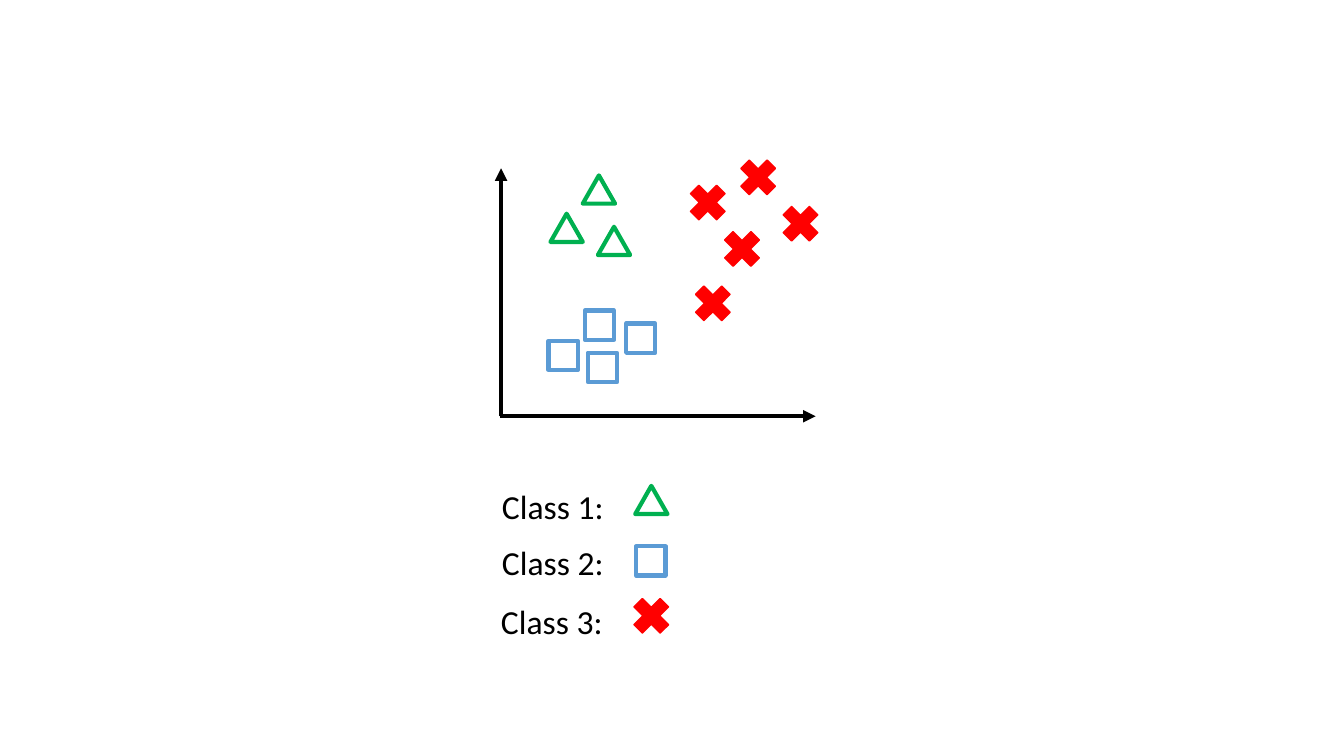
from dataclasses import dataclass

from lxml import etree
from pptx import Presentation
from pptx.dml.color import RGBColor
from pptx.enum.shapes import MSO_CONNECTOR, MSO_SHAPE
from pptx.oxml.ns import qn
from pptx.shapes.shapetree import GroupShapes
from pptx.util import Inches, Pt

TRIANGLE = MSO_SHAPE.ISOSCELES_TRIANGLE
SQUARE = MSO_SHAPE.RECTANGLE
CROSS = MSO_SHAPE.MATH_MULTIPLY
STRAIGHT = MSO_CONNECTOR.STRAIGHT

COLOURS = {"axis": "000000", "text": "000000", "green": "00B050", "blue": "5B9BD5", "red": "FF0000"}
FONT = "Calibri"
BLANK_LAYOUT = 6

Point = tuple[float, float]


@dataclass(frozen=True)
class Marker:
    kind: MSO_SHAPE
    width: float
    height: float
    colour: str
    line_width: float
    filled: bool = False


@dataclass(frozen=True)
class DataClass:
    label: str
    label_at: Point
    key_at: Point
    marker: Marker
    points: tuple[Point, ...]


DATA_CLASSES = (
    DataClass("Class 1:", (4.88, 4.77), (6.3, 4.82),
              Marker(TRIANGLE, 0.32, 0.28, "green", 3),
              ((5.78, 1.74), (5.46, 2.12), (5.93, 2.25))),
    DataClass("Class 2:", (4.88, 5.33), (6.31, 5.42),
              Marker(SQUARE, 0.29, 0.29, "blue", 3),
              ((5.8, 3.08), (5.44, 3.38), (5.83, 3.5), (6.21, 3.21))),
    DataClass("Class 3:", (4.87, 5.91), (6.21, 5.86),
              Marker(CROSS, 0.5, 0.5, "red", 1, filled=True),
              ((6.77, 1.76), (7.27, 1.51), (7.11, 2.22), (7.69, 1.97), (6.82, 2.76))),
)

AXES = (
    ((4.97, 4.13), (4.97, 1.67)),
    ((4.96, 4.13), (8.09, 4.13)),
)


def colour(name: str) -> RGBColor:
    return RGBColor.from_string(COLOURS[name])


def draw_axis(shapes: GroupShapes, start: Point, end: Point) -> None:
    axis = shapes.add_connector(STRAIGHT, *map(Inches, start + end))
    axis.line.color.rgb = colour("axis")
    axis.line.width = Pt(3)
    etree.SubElement(axis.line._get_or_add_ln(), qn("a:tailEnd"), type="triangle")
    etree.SubElement(axis._element.spPr, qn("a:effectLst"))


def draw_marker(shapes: GroupShapes, marker: Marker, at: Point) -> None:
    left, top = at
    shape = shapes.add_shape(marker.kind, Inches(left), Inches(top),
                             Inches(marker.width), Inches(marker.height))
    shape.shadow.inherit = False
    if marker.filled:
        shape.fill.solid()
        shape.fill.fore_color.rgb = colour(marker.colour)
    else:
        shape.fill.background()
    shape.line.color.rgb = colour(marker.colour)
    shape.line.width = Pt(marker.line_width)


def draw_label(shapes: GroupShapes, text: str, at: Point) -> None:
    left, top = at
    box = shapes.add_textbox(Inches(left), Inches(top), Inches(1.47), Inches(0.5))
    box.text_frame.word_wrap = True
    para = box.text_frame.paragraphs[0]
    para.text = text
    para.font.name = FONT
    para.font.size = Pt(24)
    para.font.color.rgb = colour("text")


def main() -> None:
    deck = Presentation()
    deck.slide_width = Inches(13.33)
    deck.slide_height = Inches(7.5)
    page = deck.slides.add_slide(deck.slide_layouts[BLANK_LAYOUT])
    shapes = page.shapes.add_group_shape().shapes

    for start, end in AXES:
        draw_axis(shapes, start, end)
    for data_class in DATA_CLASSES:
        for point in data_class.points:
            draw_marker(shapes, data_class.marker, point)
    for data_class in DATA_CLASSES:
        draw_label(shapes, data_class.label, data_class.label_at)
        draw_marker(shapes, data_class.marker, data_class.key_at)

    deck.save("out.pptx")


if __name__ == "__main__":
    main()
